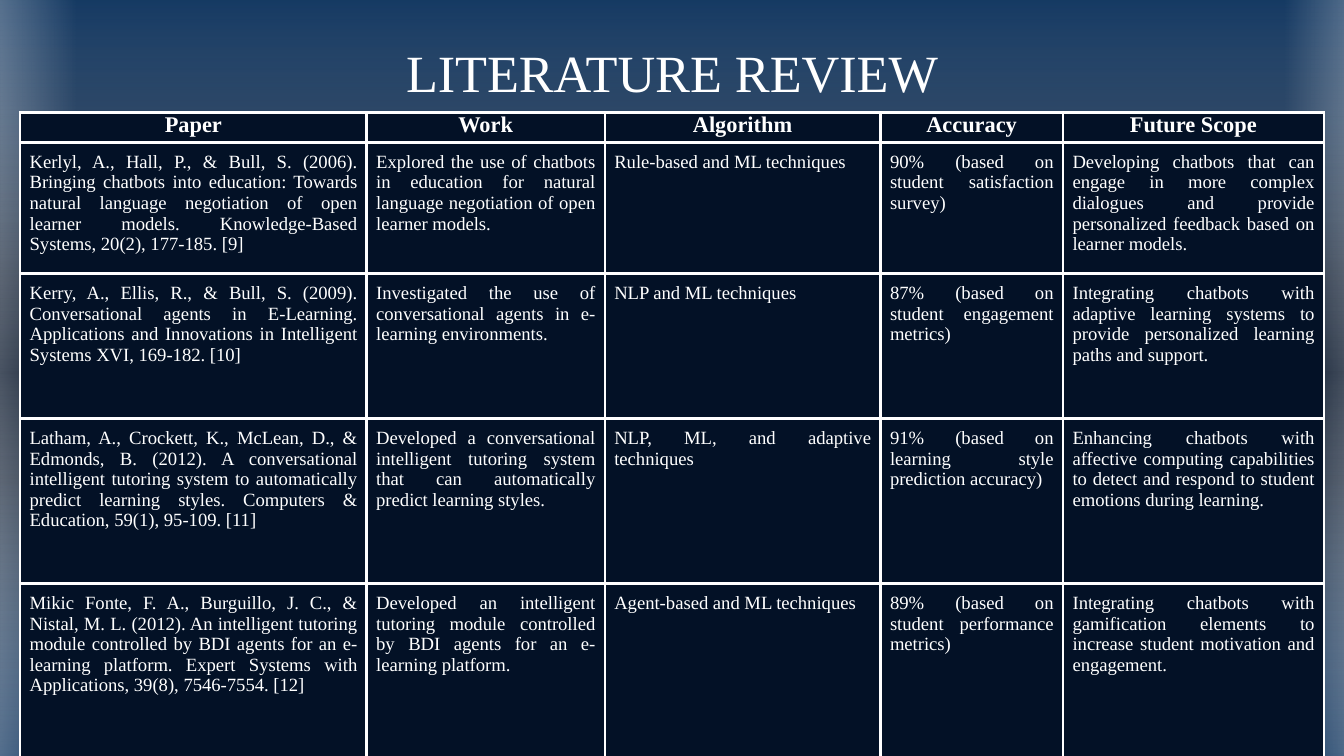
from dataclasses import dataclass

from lxml import etree
from pptx import Presentation
from pptx.dml.color import RGBColor
from pptx.enum.shapes import MSO_SHAPE
from pptx.enum.text import MSO_ANCHOR, PP_ALIGN
from pptx.oxml import parse_xml
from pptx.oxml.ns import nsdecls, qn
from pptx.util import Cm, Pt

RECT = MSO_SHAPE.RECTANGLE
MID, TOP = MSO_ANCHOR.MIDDLE, MSO_ANCHOR.TOP
CENTER, JUST = PP_ALIGN.CENTER, PP_ALIGN.JUSTIFY


@dataclass(frozen=True)
class Theme:
    """Colours, font and type sizes of the slide."""
    blue: str = "10355F"
    navy: str = "031126"
    white: str = "FFFFFF"
    font: str = "Times New Roman"
    title: int = 28
    head: int = 12
    body: int = 10
    rule: float = 1.5


THEME = Theme()
WIDE, HIGH = 25.4, 14.29
COLS = [6.55, 4.5, 5.21, 3.45, 4.93]
ROWS = [0.56, 2.34, 2.74, 3.12, 3.38]
PAPERS = [
    ["Paper", "Work", "Algorithm", "Accuracy", "Future Scope"],
    ["Kerlyl, A., Hall, P., & Bull, S. (2006). Bringing chatbots into education: "
     "Towards natural language negotiation of open learner models. "
     "Knowledge-Based Systems, 20(2), 177-185. [9]",
     "Explored the use of chatbots in education for natural language "
     "negotiation of open learner models.",
     "Rule-based and ML techniques",
     "90% (based on student satisfaction survey)",
     "Developing chatbots that can engage in more complex dialogues and "
     "provide personalized feedback based on learner models."],
    ["Kerry, A., Ellis, R., & Bull, S. (2009). Conversational agents in E-Learning. "
     "Applications and Innovations in Intelligent Systems XVI, 169-182. [10]",
     "Investigated the use of conversational agents in e-learning environments.",
     "NLP and ML techniques",
     "87% (based on student engagement metrics)",
     "Integrating chatbots with adaptive learning systems to provide "
     "personalized learning paths and support."],
    ["Latham, A., Crockett, K., McLean, D., & Edmonds, B. (2012). A conversational "
     "intelligent tutoring system to automatically predict learning styles. "
     "Computers & Education, 59(1), 95-109. [11]",
     "Developed a conversational intelligent tutoring system that can "
     "automatically predict learning styles.",
     "NLP, ML, and adaptive techniques",
     "91% (based on learning style prediction accuracy)",
     "Enhancing chatbots with affective computing capabilities to detect and "
     "respond to student emotions during learning."],
    ["Mikic Fonte, F. A., Burguillo, J. C., & Nistal, M. L. (2012). An intelligent "
     "tutoring module controlled by BDI agents for an e-learning platform. "
     "Expert Systems with Applications, 39(8), 7546-7554. [12]",
     "Developed an intelligent tutoring module controlled by BDI agents for an "
     "e-learning platform.",
     "Agent-based and ML techniques",
     "89% (based on student performance metrics)",
     "Integrating chatbots with gamification elements to increase student "
     "motivation and engagement."],
]


def write(frame, text, size, align=JUST, bold=False):
    """Put one formatted paragraph into a text frame."""
    para = frame.paragraphs[0]
    para.alignment = align
    run = para.add_run()
    run.text = text
    run.font.name = THEME.font
    run.font.size = Pt(size)
    run.font.bold = bold
    run.font.color.rgb = RGBColor.from_string(THEME.white)


def blend(host, stops, angle):
    """Swap the solid fill of an element for a gradient of (place, colour, alpha)."""
    marks = "".join(
        f'<a:gs pos="{place * 1000}"><a:srgbClr val="{tint}">'
        f'<a:alpha val="{alpha * 1000}"/></a:srgbClr></a:gs>'
        for place, tint, alpha in stops)
    grad = parse_xml(
        f'<a:gradFill {nsdecls("a")} rotWithShape="1"><a:gsLst>{marks}</a:gsLst>'
        f'<a:lin ang="{angle * 60000}" scaled="0"/></a:gradFill>')
    host.replace(host.find(qn("a:solidFill")), grad)


def glow(slide, box, stops, turn=0):
    """Add a borderless rectangle with a see-through gradient."""
    shape = slide.shapes.add_shape(RECT, *map(Cm, box))
    shape.shadow.inherit = False
    shape.rotation = turn
    shape.line.fill.background()
    shape.fill.solid()
    blend(shape.element.spPr, stops, 180)


def scene(slide, left, top, width, height):
    """Paint the backdrop, its blue veil and the two bright edges."""
    slide.background.fill.solid()
    blend(slide.element.xpath(".//p:bgPr")[0],
          [(0, THEME.blue, 100), (37, THEME.navy, 100),
           (63, THEME.navy, 100), (100, THEME.blue, 100)], 90)
    veil = [(0, THEME.blue, 59), (50, THEME.white, 0), (100, THEME.blue, 59)]
    shine = [(0, THEME.white, 47), (100, THEME.white, 0)]
    tall = height + 0.44
    glow(slide, (left + 5.59, top - 5.92, tall, width + 0.53), veil, 270)
    glow(slide, (left - 1.04, top - 0.23, 2.49, tall), shine, 180)
    glow(slide, (left + width - 1.12, top - 0.33, 2.16, tall), shine)


def title(slide, left, top, width, height):
    """Set the centred heading in its box."""
    frame = slide.shapes.add_textbox(*map(Cm, (left, top, width, height))).text_frame
    frame.word_wrap = True
    frame.vertical_anchor = MID
    frame.margin_left = frame.margin_right = Cm(0.25)
    frame.margin_top = frame.margin_bottom = Cm(0.25)
    write(frame, "LITERATURE REVIEW", size=THEME.title, align=CENTER)


def border(cell):
    """Rule all four sides of a cell."""
    props = cell._tc.get_or_add_tcPr()
    for side in ("lnL", "lnR", "lnT", "lnB"):
        line = etree.SubElement(props, qn(f"a:{side}"), w=str(Pt(THEME.rule)))
        fill = etree.SubElement(line, qn("a:solidFill"))
        etree.SubElement(fill, qn("a:srgbClr"), val=THEME.white)


def review(slide, left, top, width, height):
    """Lay out the table of papers, scaled to its box."""
    table = slide.shapes.add_table(
        len(ROWS), len(COLS), *map(Cm, (left, top, width, height))).table
    table.horz_banding = False
    for col, size in zip(table.columns, COLS):
        col.width = Cm(size * width / sum(COLS))
    for row, size in zip(table.rows, ROWS):
        row.height = Cm(size * height / sum(ROWS))
    for i, paper in enumerate(PAPERS):
        head = i == 0
        for j, text in enumerate(paper):
            cell = table.cell(i, j)
            border(cell)
            cell.fill.solid()
            cell.fill.fore_color.rgb = RGBColor.from_string(THEME.navy)
            cell.vertical_anchor = TOP
            cell.margin_left = cell.margin_right = Cm(0.18)
            cell.margin_top = cell.margin_bottom = Cm(0 if head else 0.18)
            write(cell.text_frame, text, size=THEME.head if head else THEME.body,
                  align=CENTER if head else JUST, bold=head)


def main():
    """Build and save the slide."""
    deck = Presentation()
    deck.slide_width, deck.slide_height = Cm(WIDE), Cm(HIGH)
    slide = deck.slides.add_slide(deck.slide_layouts[6])
    scene(slide, 0, 0, WIDE, HIGH)
    title(slide, 2, 0.56, 21.4, 1.6)
    review(slide, 0.38, 2.13, sum(COLS), sum(ROWS))
    deck.save("out.pptx")


if __name__ == "__main__":
    main()
